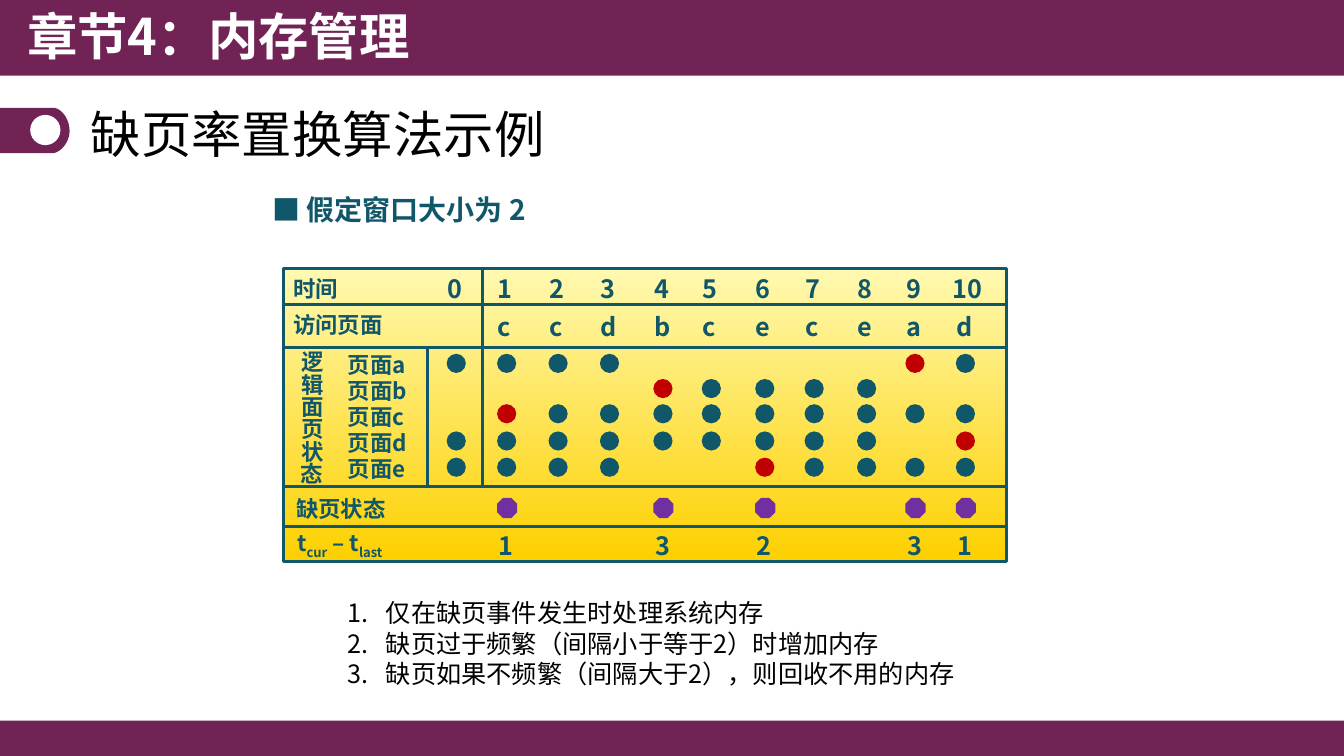
"""Build the slide that shows the page fault rate replacement example."""
import dataclasses
import typing

import lxml.etree
import pptx
import pptx.dml.color
import pptx.enum.shapes
import pptx.enum.text
import pptx.oxml.ns
import pptx.util

Inches = pptx.util.Inches
Shape = pptx.enum.shapes.MSO_SHAPE
Align = pptx.enum.text.PP_ALIGN
Anchor = pptx.enum.text.MSO_ANCHOR
Fit = pptx.enum.text.MSO_AUTO_SIZE


@dataclasses.dataclass(frozen=True)
class Theme:
    """Hold the colours, fonts and type sizes."""
    plum: str = "712355"
    teal: str = "11576A"
    red: str = "C00000"
    violet: str = "7030A0"
    white: str = "FFFFFF"
    black: str = "000000"
    pale: str = "FFF9B1"
    gold: str = "FDD000"
    font: str = "Noto Sans CJK SC"
    mark_font: str = "Noto Sans CJK JP"
    head: int = 36
    lead: int = 20
    body: int = 18
    label: int = 16
    rule: float = 2.25


THEME = Theme()


@dataclasses.dataclass(frozen=True)
class Box:
    """Describe one text box."""
    text: str
    left: float
    top: float
    width: float
    height: float
    size: int = THEME.label
    color: str = THEME.teal
    bold: bool = True
    wrap: bool = True
    font: str = THEME.font
    grow: bool = True


@dataclasses.dataclass(frozen=True)
class Rule:
    """Describe one straight line."""
    x1: float
    y1: float
    x2: float
    y2: float


@dataclasses.dataclass(frozen=True)
class Page:
    """Describe one page row: x is resident, F is a fault."""
    name: str
    top: float
    states: str


LEFT, RIGHT, TOP, BASE = 2.81, 9.97, 2.66, 4.83
COLS = (4.43, 4.93, 5.44, 5.95, 6.48, 6.96, 7.49, 7.98, 8.5, 8.98, 9.48)
CALLS = "ccdbcecead"
GAPS = {1: "1", 4: "3", 6: "2", 9: "3", 10: "1"}
PAGES = (
    Page("a", 3.51, "xxxx.....Fx"),
    Page("b", 3.76, "....Fxxxx.."),
    Page("c", 4.01, ".Fxxxxxxxxx"),
    Page("d", 4.28, "xxxxxxxxx.F"),
    Page("e", 4.54, "xxxx..Fxxxx"),
)
RULES = [Rule(LEFT, y, RIGHT, y) for y in (3.02, 3.45, BASE, 5.22)] + [
    Rule(4.24, 3.45, 4.24, BASE), Rule(4.79, TOP, 4.79, BASE)]
BOXES = (
    Box("■", 2.6, 1.86, 0.47, 0.44, THEME.lead, font=THEME.mark_font),
    Box("假定窗口大小为 2", 2.94, 1.86, 3.29, 0.44, THEME.lead),
    Box("时间", LEFT, 2.68, 0.78, 0.37),
    Box("访问页面", LEFT, 3.04, 1.41, 0.37),
    Box("缺页状态", 2.84, 4.86, 1.15, 0.37),
    Box("章节4：内存管理", 0.17, 0, 6.67, 0.77, THEME.head, THEME.white, grow=False),
)
STEPS = ("仅在缺页事件发生时处理系统内存", "缺页过于频繁（间隔小于等于2）时增加内存",
         "缺页如果不频繁（间隔大于2），则回收不用的内存")


def tint(code: str) -> pptx.dml.color.RGBColor:
    """Turn a hex code into a colour."""
    return pptx.dml.color.RGBColor.from_string(code)


def style(frame: typing.Any, size: int, color: str, bold: bool, font: str = THEME.font) -> None:
    """Format every run of a text frame."""
    for para in frame.paragraphs:
        for run in para.runs:
            run.font.size = pptx.util.Pt(size)
            run.font.bold = bold
            run.font.color.rgb = tint(color)
            run.font.name = font
            east = lxml.etree.SubElement(run._r.get_or_add_rPr(), pptx.oxml.ns.qn("a:ea"))
            east.set("typeface", font)


def write(slide: typing.Any, box: Box) -> typing.Any:
    """Draw a text box and return its frame."""
    item = slide.shapes.add_textbox(
        Inches(box.left), Inches(box.top), Inches(box.width), Inches(box.height))
    frame = item.text_frame
    frame.text = box.text
    frame.word_wrap = box.wrap
    frame.auto_size = Fit.SHAPE_TO_FIT_TEXT if box.grow else Fit.NONE
    style(frame, box.size, box.color, box.bold, box.font)
    return frame


def cell(slide: typing.Any, text: str, left: float, top: float) -> None:
    """Write a short value in a time column."""
    more = len(text) - 1
    write(slide, Box(text, left - 0.04 * more, top, 0.36 + 0.15 * more, 0.4,
                     THEME.body, wrap=False))


def paint(item: typing.Any, color: str) -> None:
    """Give a shape a plain fill with no line or shadow."""
    item.shadow.inherit = False
    item.fill.solid()
    item.fill.fore_color.rgb = tint(color)
    item.line.fill.background()


def block(slide: typing.Any, kind: typing.Any, left: float, top: float,
          width: float, height: float, color: str) -> typing.Any:
    """Draw a plain preset shape."""
    item = slide.shapes.add_shape(
        kind, Inches(left), Inches(top), Inches(width), Inches(height))
    paint(item, color)
    return item


def curve(*knots: tuple[float, float]) -> list[tuple[float, float]]:
    """List points along a cubic curve."""
    points = []
    for step in range(1, 13):
        t = step / 12
        parts = ((1 - t) ** 3, 3 * t * (1 - t) ** 2, 3 * t * t * (1 - t), t ** 3)
        points.append((sum(p * k[0] for p, k in zip(parts, knots)),
                       sum(p * k[1] for p, k in zip(parts, knots))))
    return points


def draw_frame(slide: typing.Any) -> None:
    """Draw the bands, the tab and the title."""
    block(slide, Shape.RECTANGLE, 0, 7.15, 13.33, 0.35, THEME.plum)
    block(slide, Shape.RECTANGLE, 0, 0, 13.33, 0.75, THEME.plum)
    pen = slide.shapes.build_freeform(0, Inches(1.07), scale=1.0)
    edge = [(0.53, 1.07), *curve((0.53, 1.07), (0.6, 1.07), (0.69, 1.17), (0.69, 1.3)),
            *curve((0.69, 1.3), (0.69, 1.42), (0.59, 1.52), (0.52, 1.52)), (0, 1.52)]
    pen.add_line_segments([(Inches(x), Inches(y)) for x, y in edge], close=True)
    paint(pen.convert_to_shape(), THEME.plum)
    block(slide, Shape.OVAL, 0.3, 1.14, 0.3, 0.3, THEME.white)
    title = slide.shapes.title
    title.left, title.top, title.width, title.height = map(Inches, (0.8, 0.95, 11.53, 0.75))
    frame = title.text_frame
    frame.text = "缺页率置换算法示例"
    frame.auto_size = Fit.NONE
    frame.vertical_anchor = Anchor.MIDDLE
    frame.paragraphs[0].alignment = Align.LEFT
    style(frame, THEME.head, THEME.black, False)


def draw_grid(slide: typing.Any) -> None:
    """Draw the gold panel and its rules."""
    panel = block(slide, Shape.RECTANGLE, LEFT, TOP, 7.17, 2.91, THEME.gold)
    panel.fill.gradient()
    panel.fill.gradient_angle = 270
    for stop, color, place in zip(panel.fill.gradient_stops, (THEME.pale, THEME.gold), (0, 1)):
        stop.color.rgb = tint(color)
        stop.position = place
    lines = [slide.shapes.add_connector(
        pptx.enum.shapes.MSO_CONNECTOR.STRAIGHT, Inches(rule.x1), Inches(rule.y1),
        Inches(rule.x2), Inches(rule.y2)) for rule in RULES]
    for line in lines:
        lxml.etree.SubElement(line._element.spPr, pptx.oxml.ns.qn("a:effectLst"))
    for item in (panel, *lines):
        item.line.color.rgb = tint(THEME.teal)
        item.line.width = pptx.util.Pt(THEME.rule)


def draw_pages(slide: typing.Any) -> None:
    """Draw the time columns, page states and faults."""
    for time, left in enumerate(COLS):
        cell(slide, str(time), left - 0.09, TOP)
        if time:
            cell(slide, CALLS[time - 1], left - 0.09, 3.04)
        if time in GAPS:
            block(slide, Shape.OCTAGON, left, 4.94, 0.2, 0.2, THEME.violet)
            cell(slide, GAPS[time], left - 0.08, 5.21)
    for row, page in enumerate(PAGES):
        write(slide, Box("页面" + page.name, 3.35, 3.43 + 0.26 * row, 1.09, 0.37))
        for left, state in zip(COLS, page.states):
            if state != ".":
                color = THEME.red if state == "F" else THEME.teal
                block(slide, Shape.OVAL, left, page.top, 0.19, 0.19, color)


def draw_text(slide: typing.Any) -> None:
    """Write the labels and the numbered steps."""
    for box in BOXES:
        write(slide, box)
    side = write(slide, Box("逻辑面页状态", 2.79, 3.45, 0.61, 1.45)).paragraphs[0]
    side.alignment = Align.CENTER
    side.line_spacing = pptx.util.Pt(16)
    side.runs[0]._r.get_or_add_rPr().set("spc", "-100")
    gap = write(slide, Box("", 2.85, 5.2, 1.41, 0.37))
    for text, base in (("t", 0), ("cur", -25000), (" – t", 0), ("last", -25000)):
        run = gap.paragraphs[0].add_run()
        run.text = text
        run._r.get_or_add_rPr().set("baseline", str(base))
    style(gap, THEME.label, THEME.teal, True)
    steps = write(slide, Box("\n".join(STEPS), 3.35, 5.88, 7.1, 1.01,
                             THEME.body, THEME.black, False))
    for para in steps.paragraphs:
        props = para._p.get_or_add_pPr()
        props.set("marL", str(Inches(0.38)))
        props.set("indent", str(-Inches(0.38)))
        lxml.etree.SubElement(props, pptx.oxml.ns.qn("a:buAutoNum")).set("type", "arabicPeriod")


def main() -> None:
    """Build and save the deck."""
    deck = pptx.Presentation()
    deck.slide_width, deck.slide_height = Inches(13.33), Inches(7.5)
    slide = deck.slides.add_slide(deck.slide_layouts[5])
    for draw in (draw_frame, draw_grid, draw_pages, draw_text):
        draw(slide)
    deck.save("out.pptx")


if __name__ == "__main__":
    main()
